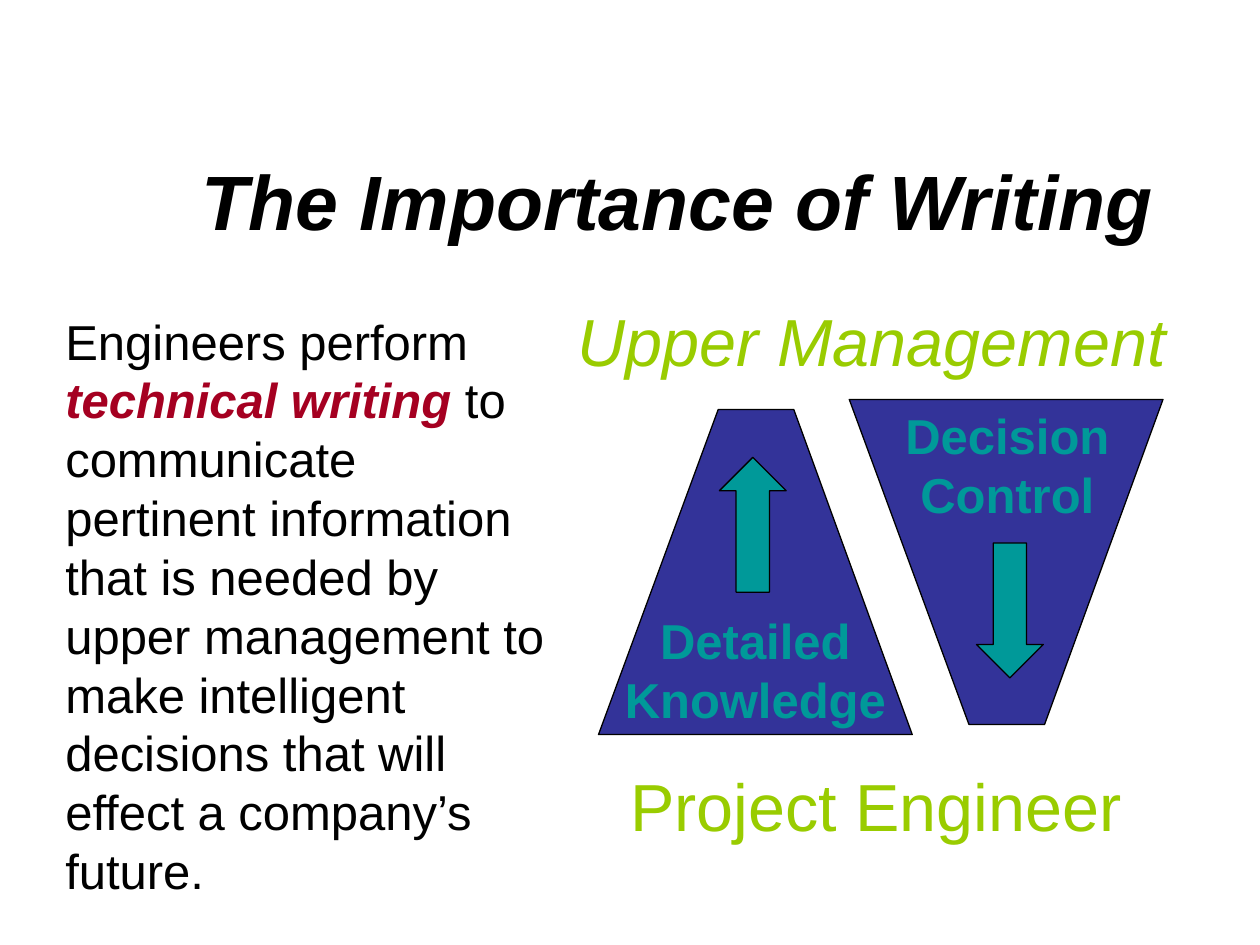
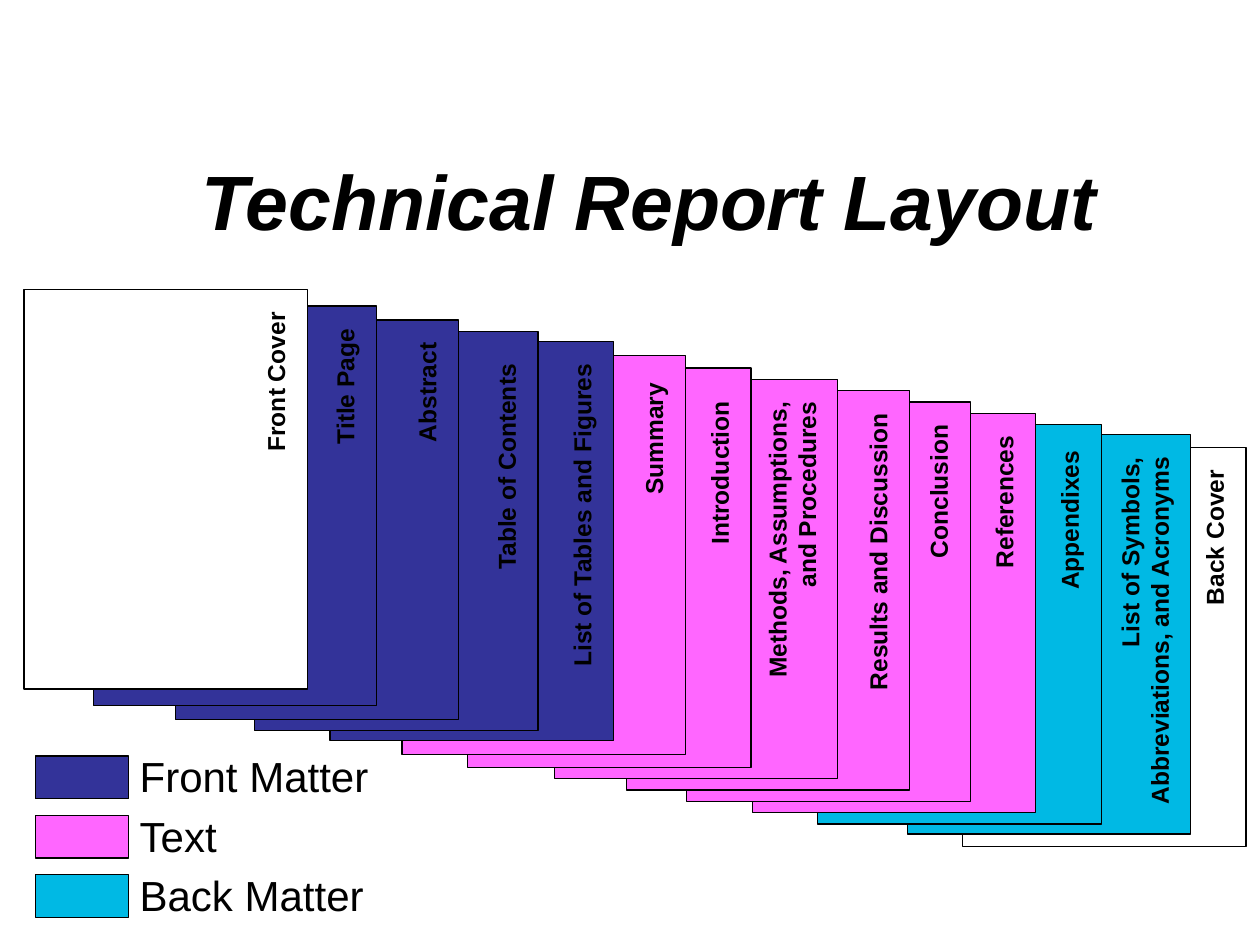
import pptx
import pptx.util
import pptx.dml.color
import pptx.enum.shapes
import pptx.enum.text

Inches = pptx.util.Inches
Pt = pptx.util.Pt
RGBColor = pptx.dml.color.RGBColor
Shape = pptx.enum.shapes.MSO_SHAPE
Align = pptx.enum.text.PP_ALIGN

BLACK = RGBColor(0x00, 0x00, 0x00)
WHITE = RGBColor(0xFF, 0xFF, 0xFF)
INDIGO = RGBColor(0x33, 0x33, 0x99)
PINK = RGBColor(0xFF, 0x66, 0xFF)
SKY = RGBColor(0x00, 0xB9, 0xE4)
TEAL = RGBColor(0x00, 0x99, 0x99)
LIME = RGBColor(0x99, 0xCC, 0x00)
CRIMSON = RGBColor(0xA5, 0x00, 0x21)

FONT = "Arial"
PAGE_WIDTH, PAGE_HEIGHT = 2.25, 3.17
LABEL_GAP = 0.08

# name, left, top, fill, label length, label lines, alignment, label drop
REPORT_PAGES = [
    ("Front Cover", 0.19, 2.30, WHITE, 1.33, 1, Align.RIGHT, 0.08),
    ("Title Page", 0.74, 2.43, INDIGO, 1.33, 1, Align.RIGHT, 0.08),
    ("Abstract", 1.39, 2.54, INDIGO, 1.33, 1, Align.RIGHT, 0.08),
    ("Table of Contents", 2.02, 2.63, INDIGO, 1.91, 1, Align.LEFT, 0.08),
    ("List of Tables and Figures", 2.62, 2.71, INDIGO, 2.64, 1, Align.RIGHT, 0.08),
    ("Summary", 3.19, 2.82, PINK, 1.38, 1, Align.RIGHT, 0.12),
    ("Introduction", 3.71, 2.92, PINK, 1.38, 1, Align.LEFT, 0.12),
    ("Methods, Assumptions, and Procedures", 4.40, 3.01, PINK, 2.66, 2, Align.RIGHT, 0.08),
    ("Results and Discussion", 4.97, 3.10, PINK, 2.66, 1, Align.RIGHT, 0.08),
    ("Conclusion", 5.45, 3.19, PINK, 2.66, 1, Align.RIGHT, 0.08),
    ("References", 5.97, 3.28, PINK, 2.66, 1, Align.RIGHT, 0.08),
    ("Appendixes", 6.49, 3.37, SKY, 1.33, 1, Align.LEFT, 0.08),
    ("List of Symbols, Abbreviations, and Acronyms", 7.20, 3.45, SKY, 2.96, 2, Align.RIGHT, 0.08),
    ("Back Cover", 7.64, 3.55, WHITE, 1.33, 1, Align.RIGHT, 0.08),
]


class Deck:
    def __init__(self):
        self.deck = pptx.Presentation()
        self.deck.slide_width = Inches(10)
        self.deck.slide_height = Inches(7.5)
        self.shapes = None

    def add_page(self, title):
        page = self.deck.slides.add_slide(self.deck.slide_layouts[6])
        self.shapes = page.shapes
        self.text(title, 1.5, 1.17, 8.33, 0.84, 44, bold=True, italic=True)

    def fill_text(self, box, content, size, color, align, bold, italic):
        frame = box.text_frame
        frame.word_wrap = True
        frame.vertical_anchor = pptx.enum.text.MSO_ANCHOR.TOP
        para = frame.paragraphs[0]
        para.text = content
        para.alignment = align
        font = para.font
        font.name, font.size, font.bold, font.italic = FONT, Pt(size), bold, italic
        font.color.rgb = color
        return para

    def text(self, content, left, top, width, height, size, color=BLACK,
             align=Align.LEFT, bold=False, italic=False):
        box = self.shapes.add_textbox(Inches(left), Inches(top), Inches(width), Inches(height))
        return self.fill_text(box, content, size, color, align, bold, italic)

    def paint(self, shape, fill, outlined=True):
        shape.shadow.inherit = False
        shape.fill.solid()
        shape.fill.fore_color.rgb = fill
        if outlined:
            shape.line.color.rgb = BLACK
            shape.line.width = Pt(0.75)
        else:
            shape.line.fill.background()

    def shape(self, kind, left, top, width, height, fill, outlined=True):
        shape = self.shapes.add_shape(kind, Inches(left), Inches(top), Inches(width), Inches(height))
        self.paint(shape, fill, outlined)
        return shape

    def trapezoid(self, left, wide_y, narrow_y):
        corners = [(left, wide_y), (left + 0.95, narrow_y),
                   (left + 1.55, narrow_y), (left + 2.49, wide_y)]
        points = [(Inches(x), Inches(y)) for x, y in corners]
        builder = self.shapes.build_freeform(*points[0])
        builder.add_line_segments(points[1:], close=True)
        self.paint(builder.convert_to_shape(), INDIGO)

    def flow_arrow(self, left, top, rotation=0):
        arrow = self.shape(Shape.UP_ARROW, left, top, 0.53, 1.07, TEAL)
        arrow.rotation = rotation

    def report_page(self, name, left, top, fill, length, lines, align, drop):
        """Draw one sheet with its name reading upwards along the right edge."""
        self.shape(Shape.RECTANGLE, left, top, PAGE_WIDTH, PAGE_HEIGHT, fill)
        depth = 0.34 if lines == 1 else 0.57
        center_x = left + PAGE_WIDTH - LABEL_GAP - depth / 2
        center_y = top + drop + length / 2
        label = self.shape(Shape.RECTANGLE, center_x - length / 2, center_y - depth / 2,
                           length, depth, fill, outlined=False)
        label.rotation = 270
        self.fill_text(label, name, 14, BLACK, align, True, False)

    def legend_entry(self, name, top, fill):
        self.shape(Shape.RECTANGLE, 0.28, top, 0.74, 0.34, fill)
        self.text(name, 1.01, top - 0.09, 2.09, 0.5, 24)


def build_importance(deck):
    deck.add_page("The Importance of Writing")
    deck.text("Upper Management", 4.42, 2.33, 5, 0.74, 38, LIME, Align.CENTER, italic=True)
    deck.text("Project Engineer", 4.58, 6.02, 4.75, 0.74, 38, LIME, Align.CENTER)

    para = deck.text("Engineers perform ", 0.42, 2.42, 4.08, 4.77, 28)
    span = para.add_run()
    span.text = "technical writing"
    span.font.bold = span.font.italic = True
    span.font.color.rgb = CRIMSON
    para.add_run().text = (" to communicate pertinent information that is needed by upper "
                           "management to make intelligent decisions that will effect "
                           "a company’s future.")

    deck.trapezoid(4.75, wide_y=5.83, narrow_y=3.25)
    deck.text("Detailed Knowledge", 4.83, 4.8, 2.33, 1.04, 28, TEAL, Align.CENTER, bold=True)
    deck.flow_arrow(5.71, 3.63)
    deck.trapezoid(6.74, wide_y=3.17, narrow_y=5.75)
    deck.text("Decision Control", 6.83, 3.17, 2.33, 1.04, 28, TEAL, Align.CENTER, bold=True)
    deck.flow_arrow(7.75, 4.31, rotation=180)


def build_layout(deck):
    deck.add_page("Technical Report Layout")
    legend = [("Front Matter", INDIGO), ("Text", PINK), ("Back Matter", SKY)]
    for row, (name, fill) in enumerate(legend):
        deck.legend_entry(name, 6 + 0.47 * row, fill)
    for report_page in reversed(REPORT_PAGES):
        deck.report_page(*report_page)


def main():
    deck = Deck()
    build_importance(deck)
    build_layout(deck)
    deck.deck.save("out.pptx")


if __name__ == "__main__":
    main()
